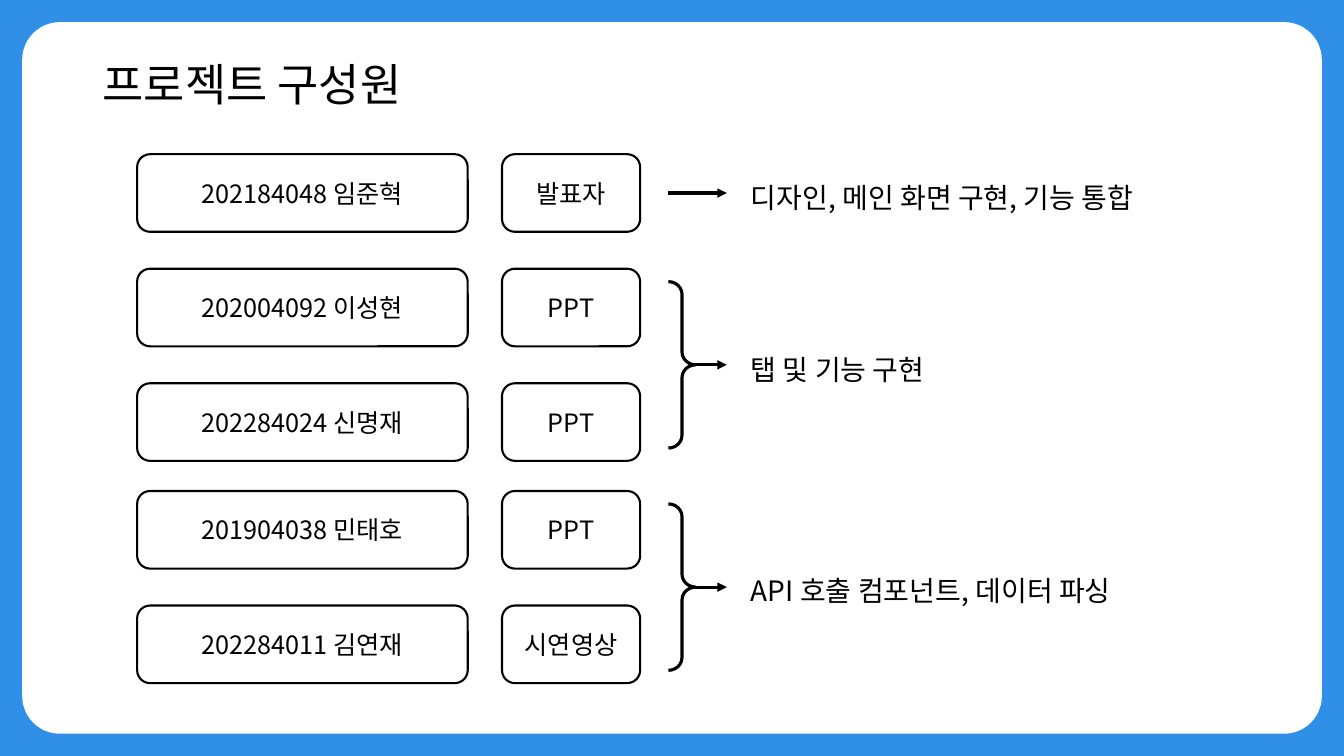
from lxml.etree import SubElement
from pptx import Presentation
from pptx.dml.color import RGBColor
from pptx.enum.shapes import MSO_CONNECTOR, MSO_SHAPE
from pptx.enum.text import MSO_ANCHOR, PP_ALIGN
from pptx.oxml.ns import qn
from pptx.util import Inches, Pt

COLORS = {"frame": "3090E8", "panel": "FFFFFF", "ink": "000000"}
FONT = "Noto Sans CJK KR"


def color(name):
    return RGBColor.from_string(COLORS[name])


def write(tf, text, size=18, align=PP_ALIGN.LEFT, anchor=MSO_ANCHOR.TOP, wrap=True):
    tf.word_wrap = wrap
    tf.vertical_anchor = anchor
    p = tf.paragraphs[0]
    p.alignment = align
    r = p.add_run()
    r.text = text
    r.font.size = Pt(size)
    r.font.name = FONT
    r.font.color.rgb = color("ink")
    SubElement(r.font._element, qn("a:ea")).set("typeface", FONT)


class Board:
    """Places elements by percent of the slide's width and height."""

    def __init__(self, prs):
        self.prs = prs
        self.s = prs.slides.add_slide(prs.slide_layouts[6])
        fill = self.s.background.fill
        fill.solid()
        fill.fore_color.rgb = color("frame")

    def place(self, x, y):
        return (round(self.prs.slide_width * x / 100),
                round(self.prs.slide_height * y / 100))

    def shape(self, kind, x, y, w, h, fill=None, line=None, adj=()):
        sp = self.s.shapes.add_shape(kind, *self.place(x, y), *self.place(w, h))
        sp.shadow.inherit = False
        for i, value in enumerate(adj):
            sp.adjustments[i] = value
        if fill:
            sp.fill.solid()
            sp.fill.fore_color.rgb = color(fill)
        else:
            sp.fill.background()
        if line:
            sp.line.color.rgb = color("ink")
            sp.line.width = Pt(line)
        else:
            sp.line.fill.background()
        return sp

    def card(self, x, y, w, h, text):
        sp = self.shape(MSO_SHAPE.ROUNDED_RECTANGLE, x, y, w, h, "panel", 1.5)
        write(sp.text_frame, text, align=PP_ALIGN.CENTER, anchor=MSO_ANCHOR.MIDDLE)

    def brace(self, x, y, w, h):
        self.shape(MSO_SHAPE.RIGHT_BRACE, x, y, w, h, line=2.25, adj=(0.471, 0.5))

    def arrow(self, x1, x2, y):
        c = self.s.shapes.add_connector(
            MSO_CONNECTOR.STRAIGHT, *self.place(x1, y), *self.place(x2, y))
        c.line.color.rgb = color("ink")
        c.line.width = Pt(2.25)
        SubElement(c.line._get_or_add_ln(), qn("a:tailEnd")).set("type", "triangle")
        SubElement(c._element.spPr, qn("a:effectLst"))

    def label(self, x, y, w, h, text, **fmt):
        sp = self.s.shapes.add_textbox(*self.place(x, y), *self.place(w, h))
        write(sp.text_frame, text, **fmt)


def main():
    prs = Presentation()
    prs.slide_width, prs.slide_height = Inches(13.33), Inches(7.5)
    board = Board(prs)

    # Panel and title
    board.shape(MSO_SHAPE.ROUNDED_RECTANGLE, 1.65, 2.93, 96.7, 94.13, "panel", adj=(0.053,))
    board.label(6.9, 6.8, 24.6, 8.53, "프로젝트 구성원", size=32, wrap=False)

    # Members and their roles: three rows, then two after a smaller gap
    members = [("202184048 임준혁", "발표자"), ("202004092 이성현", "PPT"),
               ("202284024 신명재", "PPT"), ("201904038 민태호", "PPT"),
               ("202284011 김연재", "시연영상")]
    pitch, card_h = 15.15, 10.27
    tops = [20.4 + pitch * i for i in range(3)] + [64.95 + pitch * i for i in range(2)]
    for top, (member, role) in zip(tops, members):
        board.card(10.2, top, 24.6, card_h, member)
        board.card(37.35, top, 10.28, card_h, role)

    # Tasks: first and last member, label top, label width
    tasks = [(0, 0, 23.2, 30.53, "디자인, 메인 화면 구현, 기능 통합"),
             (1, 2, 46, 14.7, "탭 및 기능 구현"),
             (3, 4, 75.2, 29.18, "API 호출 컴포넌트, 데이터 파싱")]
    inset = 1.7
    for first, last, label_top, label_w, text in tasks:
        top, bottom = tops[first], tops[last] + card_h
        start = 49.73
        if last > first:
            board.brace(start, top + inset, 2.03, bottom - top - 2 * inset)
            start = 51.38
        board.arrow(start, 54.08, (top + bottom) / 2)
        board.label(55.13, label_top, label_w, 5.87, text, size=20)

    prs.save("out.pptx")


if __name__ == "__main__":
    main()
